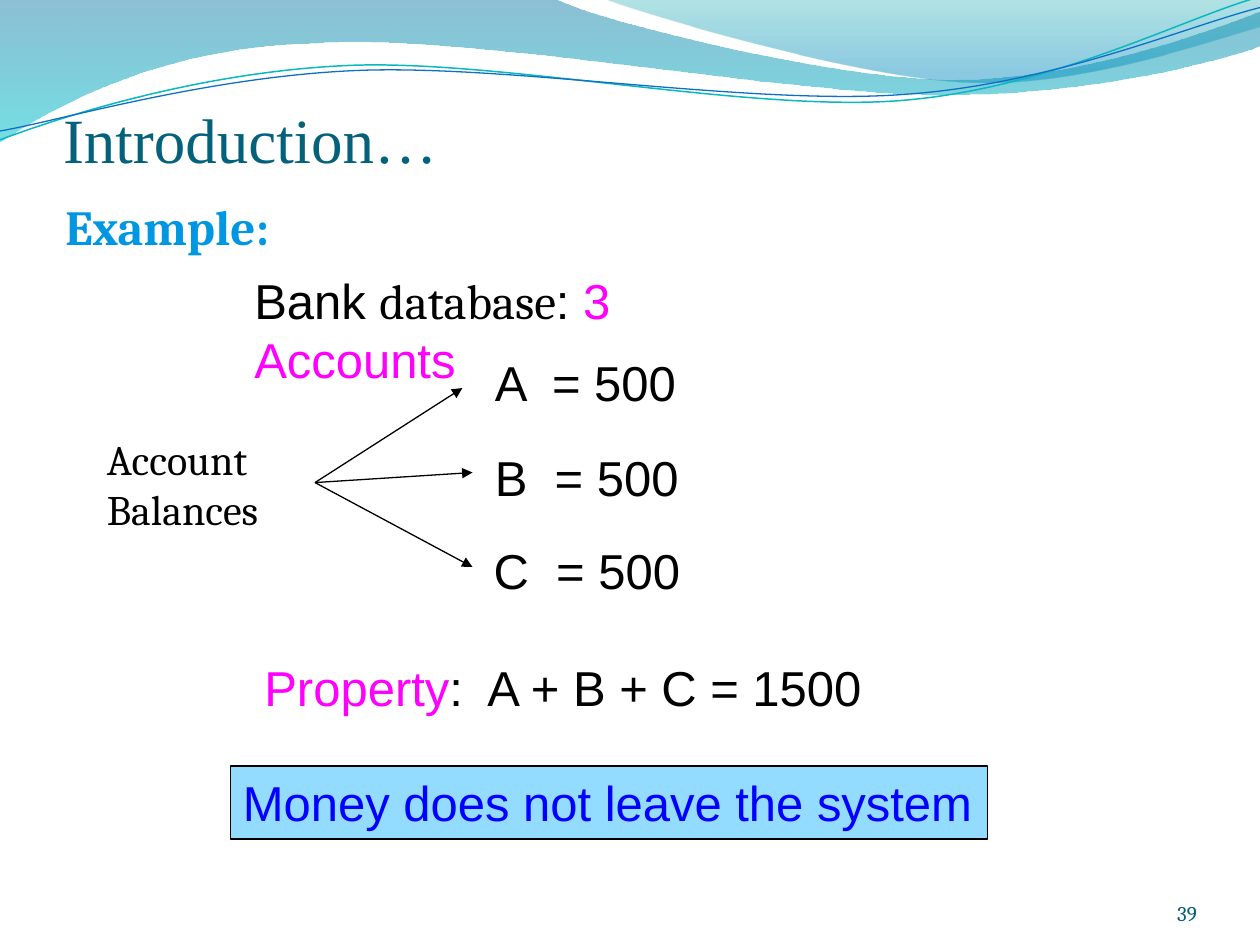
from lxml.etree import SubElement as Sub
from pptx import Presentation
from pptx.dml.color import RGBColor as Rgb
from pptx.enum.shapes import MSO_CONNECTOR as Link, MSO_SHAPE as Shape
from pptx.enum.text import MSO_ANCHOR as Anchor, MSO_AUTO_SIZE as Auto, PP_ALIGN as Align
from pptx.oxml.ns import qn
from pptx.util import Pt

PX = 9144  # 100 px to the inch

BLACK = Rgb(0x00, 0x00, 0x00)
PINK = Rgb(0xFF, 0x00, 0xFF)
BLUE = Rgb(0x00, 0x00, 0xFF)
PALE = Rgb(0x93, 0xDB, 0xFF)
SKY = Rgb(0x00, 0x97, 0xE2)
TITLE = Rgb(0x04, 0x61, 0x7B)
NUMBER = Rgb(0x04, 0x5D, 0x75)
TEAL = Rgb(0x0A, 0xB8, 0xBF)
NAVY = Rgb(0x0F, 0x6F, 0xC6)

SANS, SERIF, TIMES = "Arial", "Cambria", "Times New Roman"

# Waves: a pair is a straight step, six numbers are a curve.
# Fill stops are (position, colour, opacity in percent).
BANDS = [
    ([(0, 0), (440, -1), (476, 17, 664, 63, 758, 63), (853, 63, 958, 26, 1000, 9),
      (1001, 36), (983, 44, 870, 76, 746, 75), (622, 75, 382, 28, 257, 34),
      (129, 36, 46, 83, -1, 113)],
     [(0, Rgb(0x00, 0x74, 0xA1), 45), (1, Rgb(0x00, 0xC6, 0xCF), 55)]),
    ([(479, -1), (509, 11, 682, 62, 769, 65), (856, 69, 961, 32, 1000, 21), (1000, 0)],
     [(0, Rgb(0x00, 0xA1, 0xA9), 30), (0.8, Rgb(0x00, 0x8B, 0xBF), 45)]),
]
CURVES = [
    ([(0, 111), (48, 93, 158, 57, 277, 52), (395, 47, 593, 89, 713, 80),
      (833, 71, 938, 15, 998, -2)], TEAL, 0.85),
    ([(0, 104), (47, 96, 164, 61, 283, 56), (403, 51, 597, 84, 717, 75),
      (836, 67, 941, 21, 1000, 6)], NAVY, 0.75),
]


def put(item, values):
    for name, value in values.items():
        setattr(item, name, value)


def place(shape, box):
    names = ("left", "top", "width", "height")
    put(shape, {name: n * PX for name, n in zip(names, box)})


def add_wave(shapes, steps, close):
    """Draw all points as straight lines, then bend each set of three."""
    start, *rest = steps
    pen = shapes.build_freeform(*start, scale=PX)
    pen.add_line_segments(
        [step[i:i + 2] for step in rest for i in range(0, len(step), 2)], close=close)
    wave = pen.convert_to_shape()
    wave.shadow.inherit = False
    route = next(wave.element.spPr.iter(qn("a:path")))
    lines = iter(route.findall(qn("a:lnTo")))
    for step in rest:
        bend = next(lines)
        if len(step) == 6:
            bend.tag = qn("a:cubicBezTo")
            for line in (next(lines), next(lines)):
                bend.append(line[0])
                route.remove(line)
    return wave


def add_band(shapes, steps, stops):
    band = add_wave(shapes, steps, True)
    band.line.fill.background()
    band.fill.gradient()
    band.fill.gradient_angle = 270
    for stop, (pos, color, _) in zip(band.fill.gradient_stops, stops):
        stop.position = pos
        stop.color.rgb = color
    tags = band.element.spPr.iter(qn("a:srgbClr"))
    for tag, (_, _, alpha) in zip(tags, stops):
        Sub(tag, qn("a:alpha"), val=str(alpha * 1000))


def add_curve(shapes, steps, color, width):
    curve = add_wave(shapes, steps, False)
    curve.fill.background()
    curve.line.color.rgb = color
    curve.line.width = Pt(width)


def write(shape, runs, size, align=Align.LEFT, bold=False, **frame):
    """Fill a shape with runs of (text, font, colour)."""
    put(shape.text_frame, frame)
    para = shape.text_frame.paragraphs[0]
    para.alignment = align
    for text, face, color in runs:
        for i, line in enumerate(text.split("\n")):
            if i:
                para.add_line_break()
            run = para.add_run()
            run.text = line
            put(run.font, {"name": face, "size": Pt(size), "bold": bold})
            run.font.color.rgb = color


def add_text(shapes, box, runs, size=28, **frame):
    label = shapes.add_textbox(*(n * PX for n in box))
    look = {"word_wrap": False, "auto_size": Auto.SHAPE_TO_FIT_TEXT}
    write(label, runs, size, **{**look, **frame})


def add_arrow(shapes, start, end):
    arrow = shapes.add_connector(Link.STRAIGHT, *(n * PX for n in start + end))
    arrow.line.color.rgb = BLACK
    arrow.line.width = Pt(0.75)
    Sub(arrow.line._get_or_add_ln(), qn("a:tailEnd"), type="triangle")
    Sub(arrow.element.spPr, qn("a:effectLst"))


def add_note(shapes, box, runs):
    note = shapes.add_shape(Shape.RECTANGLE, *(n * PX for n in box))
    note.shadow.inherit = False
    note.fill.solid()
    note.fill.fore_color.rgb = PALE
    note.line.color.rgb = BLACK
    note.line.width = Pt(0.75)
    write(note, runs, 28, word_wrap=False, vertical_anchor=Anchor.TOP)


def set_title(slide, text):
    title = slide.shapes.title
    place(title, (50, 67, 900, 73))
    write(title, [(text, TIMES, TITLE)], 36, auto_size=Auto.NONE,
          vertical_anchor=Anchor.BOTTOM, margin_left=0, margin_top=5 * PX,
          margin_right=0, margin_bottom=0)
    # Bring the title in front of the waves
    title.element.getparent().append(title.element)


def main():
    deck = Presentation()
    put(deck, {"slide_width": 1000 * PX, "slide_height": 750 * PX})
    slide = deck.slides.add_slide(deck.slide_layouts[5])
    shapes = slide.shapes

    # Waves along the top
    for steps, stops in BANDS:
        add_band(shapes, steps, stops)
    for steps, color, width in CURVES:
        add_curve(shapes, steps, color, width)

    # Headings and slide number
    set_title(slide, "Introduction…")
    add_text(shapes, (42, 158, 842, 42), [("Example:", SERIF, SKY)], bold=True,
             word_wrap=True, auto_size=Auto.NONE, vertical_anchor=Anchor.MIDDLE)
    add_text(shapes, (867, 695, 83, 40), [("39", SERIF, NUMBER)], 12,
             align=Align.RIGHT, word_wrap=True, auto_size=Auto.NONE,
             vertical_anchor=Anchor.BOTTOM, margin_left=0, margin_top=0,
             margin_right=0, margin_bottom=0)

    # Accounts, with an arrow to each balance
    add_text(shapes, (192, 210, 467, 57),
             [("Bank ", SANS, BLACK), ("database", SERIF, BLACK),
              (": ", SANS, BLACK), ("3 Accounts", SANS, PINK)],
             word_wrap=True, auto_size=Auto.NONE)
    add_text(shapes, (75, 339, 140, 90), [("Account\nBalances", SERIF, BLACK)], 24)
    rows = [("A", 383, 275, (367, 308)), ("B", 383, 350, (375, 375)),
            ("C", 382, 424, (375, 450))]
    for name, left, top, tip in rows:
        add_text(shapes, (left, top, 169, 57), [(f"{name}  = 500", SANS, BLACK)])
        add_arrow(shapes, (250, 383), tip)

    # Property and what follows from it
    add_text(shapes, (200, 517, 499, 57),
             [("Property", SANS, PINK), (":  A + B + C = 1500", SANS, BLACK)])
    add_note(shapes, (183, 608, 601, 58),
             [("Money does not leave the system", SANS, BLUE)])

    deck.save("out.pptx")


if __name__ == "__main__":
    main()
